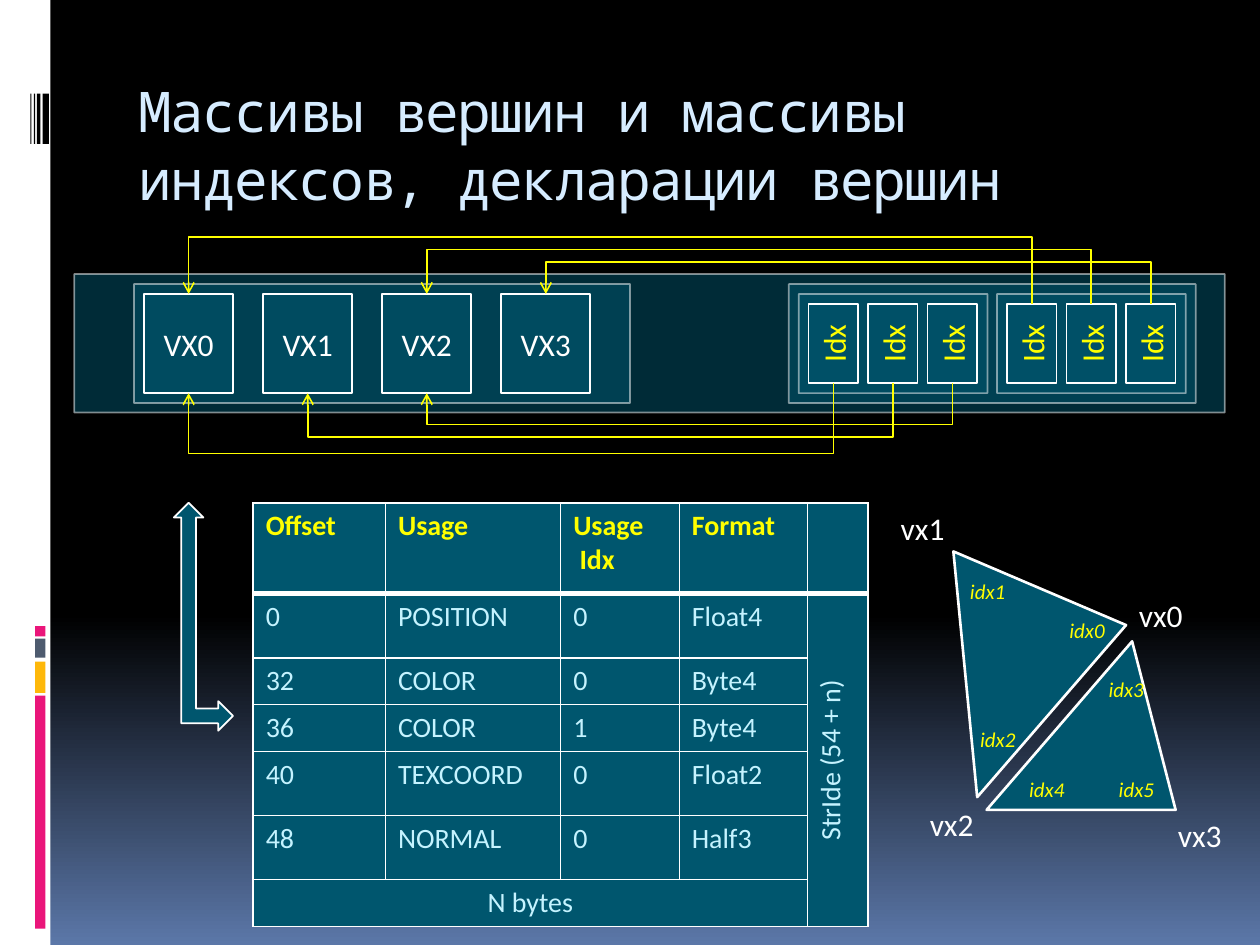
"""Build a slide on vertex arrays, index arrays and vertex declarations."""
from dataclasses import dataclass

from lxml.etree import SubElement
from pptx import Presentation
from pptx.dml.color import RGBColor
from pptx.enum.shapes import MSO_CONNECTOR, MSO_SHAPE
from pptx.enum.text import MSO_ANCHOR, MSO_AUTO_SIZE, PP_ALIGN
from pptx.oxml import parse_xml
from pptx.oxml.ns import nsdecls, qn
from pptx.util import Pt


@dataclass(frozen=True)
class Theme:
    """Colours, fonts and type sizes."""
    white: str = "FFFFFF"
    black: str = "000000"
    teal: str = "00566E"
    yellow: str = "FFFF00"
    ice: str = "C5F3FF"
    sky: str = "D6ECFF"
    dusk: str = "5B77A8"
    pink: str = "EA157A"
    amber: str = "FEB80A"
    slate: str = "4E5B6F"
    body: str = "Calibri"
    mono: str = "Noto Sans Mono"
    title: int = 32
    label: int = 18
    cell: int = 16
    corner: int = 12


T = Theme()
TITLE = "Массивы вершин и массивы индексов, декларации вершин"
SIDEBAR = [
    (0, 0, 28.8, 540, T.white), (20.1, 397.5, 5.8, 133.2, T.pink),
    (20.1, 378, 5.8, 18, T.amber), (20.1, 365, 5.8, 10.8, T.slate),
    (20.1, 357.8, 5.8, 5.8, T.pink), (24.4, 53.5, 3.6, 28.8, T.black),
    (21.1, 53.5, 2.1, 28.8, T.black), (19.4, 53.5, 0.7, 28.8, T.black),
    (17.3, 53.5, 0.7, 28.8, T.black),
]
FRAMES = [
    (42.4, 156.6, 657.5, 79.2), (76.5, 162.3, 283.5, 68),
    (450.8, 162.3, 232.5, 68), (456.4, 168, 107.9, 56.7),
    (569.8, 168, 107.9, 56.7),
]
VERTICES = ["VX0", "VX1", "VX2", "VX3"]
TRIANGLES = [
    {"first": 476.2, "links": [(0, 259.2), (1, 249.8), (2, 242.6)], "below": True},
    {"first": 589.6, "links": [(0, 135.4), (2, 142.6), (3, 149.8)], "below": False},
]
INDEX = "Idx"
HEADER = ["Offset", "Usage", "Usage\n Idx", "Format", ""]
STRIDE = "StrIde (54 + n)"
ROWS = [
    HEADER,
    ["0", "POSITION", "0", "Float4", STRIDE],
    ["32", "COLOR", "0", "Byte4", ""],
    ["36", "COLOR", "1", "Byte4", ""],
    ["40", "TEXCOORD", "0", "Float2", ""],
    ["48", "NORMAL", "0", "Half3", ""],
    ["N bytes", "", "", "", ""],
]
COLUMN_WIDTHS = [75.6, 100.1, 67.8, 73.2, 34.6]
ROW_HEIGHTS = [52, 36.6, 26.8, 26.8, 36.6, 36.6, 26.8]
MESH = [
    ((563.8, 366.5, 108, 96.3), 0, 0.77),
    ((516.2, 331.2, 107.3, 123.8), 203.1, 0.37),
]
CORNERS = {"vx0": (643.7, 337), "vx1": (507.6, 287.3),
           "vx2": (524.2, 456.5), "vx3": (666, 463)}
CORNER_INDICES = {"idx0": (604, 349.2), "idx1": (547.2, 326.9), "idx2": (553, 411.8),
                  "idx4": (581, 440), "idx3": (626.4, 383), "idx5": (632.2, 440)}


def rgb(value):
    return RGBColor.from_string(value)


def apply(target, **values):
    for name, value in values.items():
        setattr(target, name, value)


def write(frame, text, size, color, align=PP_ALIGN.LEFT, **font):
    frame.text = text
    for paragraph in frame.paragraphs:
        paragraph.alignment = align
        for run in paragraph.runs:
            apply(run.font, **{"name": T.body, "size": Pt(size), **font})
            run.font.color.rgb = rgb(color)


def add_block(slide, kind, box, fill, line=None, width=1, fade=""):
    block = slide.shapes.add_shape(kind, *map(Pt, box))
    block.shadow.inherit = False
    block.fill.solid()
    block.fill.fore_color.rgb = rgb(fill)
    if line:
        block.line.color.rgb = rgb(line)
        block.line.width = Pt(width)
    else:
        block.line.fill.background()
    paths = {"fill": "a:solidFill/a:srgbClr", "line": "a:ln/a:solidFill/a:srgbClr"}
    for part in fade.split():
        for color in block.element.spPr.xpath(paths[part]):
            SubElement(color, qn("a:alpha"), val="50000")
    return block


def add_box(slide, center, size, text, color, rotation=0):
    box = (center[0] - size[0] / 2, center[1] - size[1] / 2, *size)
    block = add_block(slide, MSO_SHAPE.RECTANGLE, box, T.teal, T.white, fade="fill")
    block.rotation = rotation
    block.text_frame.vertical_anchor = MSO_ANCHOR.MIDDLE
    write(block.text_frame, text, T.label, color, PP_ALIGN.CENTER)
    return block


def add_link(slide, index, vertex, start, end, lane, below):
    link = slide.shapes.add_connector(MSO_CONNECTOR.ELBOW, 0, 0, Pt(1), Pt(1))
    link.begin_connect(index, 1 if below else 3)
    link.end_connect(vertex, 2 if below else 0)
    width, height = abs(end[1] - start[1]), abs(end[0] - start[0])
    apply(link, left=Pt((start[0] + end[0] - width) / 2),
          top=Pt((start[1] + end[1] - height) / 2), width=Pt(width), height=Pt(height))
    properties = link.element.spPr
    apply(properties.xfrm, rot=90 if below else 270, flipH=False, flipV=not below)
    bend = round((lane - start[1]) / (end[1] - start[1]) * 100000)
    geometry = properties.find(qn("a:prstGeom"))
    guides = geometry.find(qn("a:avLst"))
    if guides is None:
        guides = SubElement(geometry, qn("a:avLst"))
    SubElement(guides, qn("a:gd"), name="adj1", fmla=f"val {bend}")
    link.line.color.rgb = rgb(T.yellow)
    link.line.width = Pt(0.94)
    SubElement(properties.find(qn("a:ln")), qn("a:tailEnd"), type="arrow")
    SubElement(properties, qn("a:effectLst"))


def add_buffers(slide):
    for frame in FRAMES:
        add_block(slide, MSO_SHAPE.RECTANGLE, frame, T.teal, T.white, fade="fill line")
    middle, vertex_height, index_length = 196.35, 56.7, 45.36
    centers = [107.8 + 68.03 * i for i in range(len(VERTICES))]
    vertices = [add_box(slide, (x, middle), (51, vertex_height), name, T.white)
                for x, name in zip(centers, VERTICES)]
    for triangle in TRIANGLES:
        side = 1 if triangle["below"] else -1
        for i, (target, lane) in enumerate(triangle["links"]):
            x = triangle["first"] + 34 * i
            index = add_box(slide, (x, middle), (index_length, 28.35), INDEX, T.yellow, 270)
            add_link(slide, index, vertices[target], (x, middle + side * index_length / 2),
                     (centers[target], middle + side * vertex_height / 2),
                     lane, triangle["below"])


def format_cell(cell, text, header):
    cell.fill.solid()
    cell.fill.fore_color.rgb = rgb(T.teal)
    centered = text in (STRIDE, ROWS[-1][0])
    write(cell.text_frame, text, T.cell, T.yellow if header else T.ice,
          PP_ALIGN.CENTER if centered else PP_ALIGN.LEFT, bold=header)
    properties = cell._tc.get_or_add_tcPr()
    if text == STRIDE:
        properties.set("vert", "vert270")
    for i, (edge, heavy) in enumerate(zip("LRTB", (False, False, False, header))):
        properties.insert(i, parse_xml(
            f'<a:ln{edge} {nsdecls("a")} w="{Pt(3 if heavy else 1)}"><a:solidFill>'
            f'<a:srgbClr val="{T.white}"/></a:solidFill></a:ln{edge}>'))


def add_declaration(slide):
    table = slide.shapes.add_table(
        len(ROWS), len(HEADER), Pt(144.7), Pt(287.3),
        Pt(sum(COLUMN_WIDTHS)), Pt(sum(ROW_HEIGHTS))).table
    apply(table, first_row=False, horz_banding=False)
    for column, width in zip(table.columns, COLUMN_WIDTHS):
        column.width = Pt(width)
    for r, (texts, height) in enumerate(zip(ROWS, ROW_HEIGHTS)):
        table.rows[r].height = Pt(height)
        for c, text in enumerate(texts):
            format_cell(table.cell(r, c), text, r == 0)
    last_row, last_column = len(ROWS) - 1, len(HEADER) - 1
    table.cell(1, last_column).merge(table.cell(last_row, last_column))
    table.cell(last_row, 0).merge(table.cell(last_row, last_column - 1))


def add_labels(slide, places, width, size, color, **font):
    for text, (left, top) in places.items():
        label = slide.shapes.add_textbox(Pt(left), Pt(top), Pt(width), Pt(size * 1.2 + 7.2))
        apply(label.text_frame, word_wrap=False, auto_size=MSO_AUTO_SIZE.SHAPE_TO_FIT_TEXT)
        write(label.text_frame, text, size, color, **font)


def add_mesh(slide):
    for box, rotation, apex in MESH:
        face = add_block(slide, MSO_SHAPE.ISOSCELES_TRIANGLE, box, T.teal, T.white, 1.5)
        face.rotation = rotation
        face.adjustments[0] = apex
    add_labels(slide, CORNERS, 40, T.label, T.white)
    add_labels(slide, CORNER_INDICES, 36, T.corner, T.yellow, italic=True)


def add_title(slide):
    title = slide.shapes.title
    apply(title, left=Pt(72), top=Pt(40.3), width=Pt(612), height=Pt(72))
    frame = title.text_frame
    apply(frame, word_wrap=True, auto_size=MSO_AUTO_SIZE.NONE, vertical_anchor=MSO_ANCHOR.TOP)
    write(frame, TITLE, T.title, T.sky, name=T.mono)
    frame.paragraphs[0].runs[0].font._element.set("spc", "-100")


def main():
    deck = Presentation()
    apply(deck, slide_width=Pt(720), slide_height=Pt(540))
    slide = deck.slides.add_slide(deck.slide_layouts[5])
    sky = slide.background.fill
    sky.gradient()
    sky.gradient_angle = 270
    for stop, position, color in zip(sky.gradient_stops, (0.65, 1), (T.black, T.dusk)):
        stop.color.rgb = rgb(color)
        stop.position = position
    for *box, color in SIDEBAR:
        add_block(slide, MSO_SHAPE.RECTANGLE, box, color)
    add_title(slide)
    add_buffers(slide)
    add_declaration(slide)
    arrow = add_block(slide, MSO_SHAPE.LEFT_UP_ARROW, (51.1, 335.5, 130.3, 33.8), T.teal, T.white)
    arrow.rotation = 90
    for i in range(3):
        arrow.adjustments[i] = 0.25
    add_mesh(slide)
    deck.save("out.pptx")


if __name__ == "__main__":
    main()
